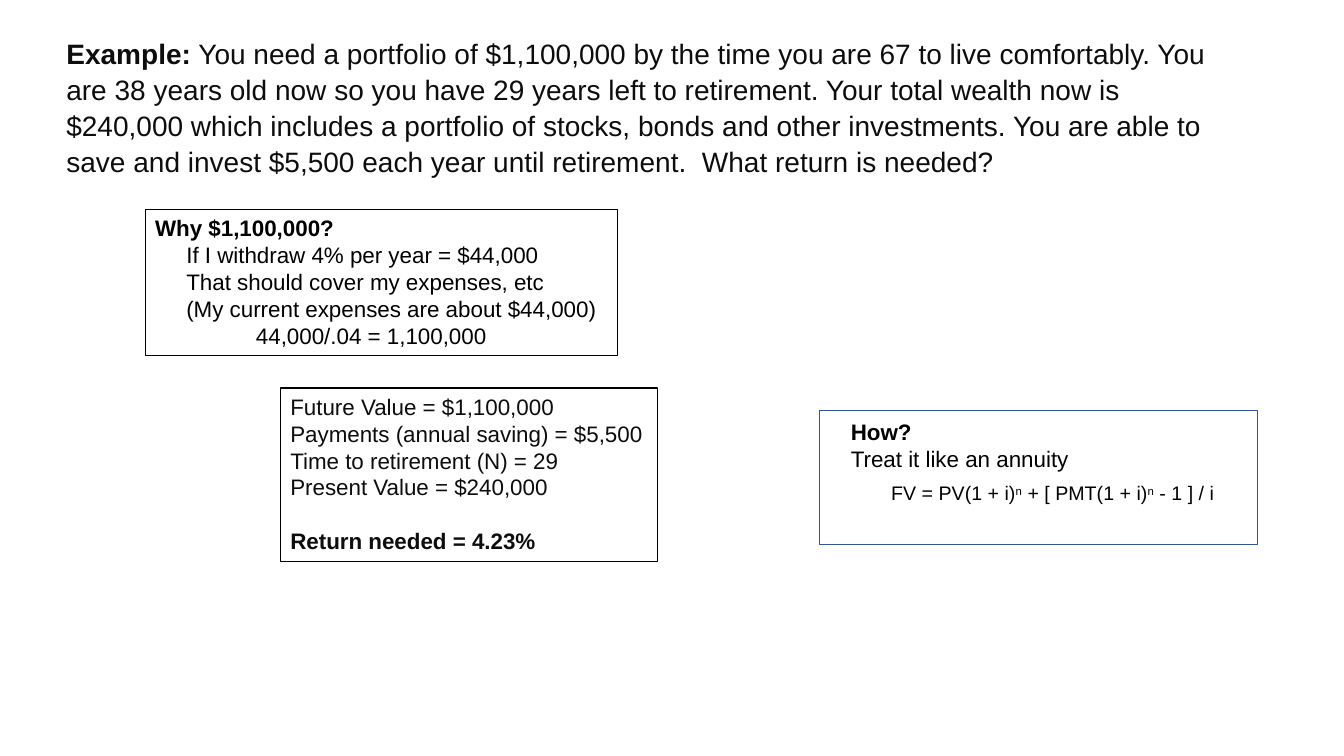
from pptx import Presentation
from pptx.dml.color import RGBColor
from pptx.enum.shapes import MSO_SHAPE
from pptx.enum.text import MSO_ANCHOR, PP_ALIGN
from pptx.util import Inches, Pt

RECT = MSO_SHAPE.RECTANGLE
TOP = MSO_ANCHOR.TOP
LEFT = PP_ALIGN.LEFT
BLACK = RGBColor(0x00, 0x00, 0x00)
INK = RGBColor(0x0D, 0x0D, 0x0D)
BLUE = RGBColor(0x32, 0x54, 0x91)
STEP = 22.3


def para(*runs, indent=0, before=0, after=0, spacing=1.0):
    return {"runs": runs, "indent": indent, "before": before,
            "after": after, "spacing": spacing}


def run(text, bold=False, sup=False):
    return text, bold, sup


class Deck:
    """Style and current slide, with places given in percent of the slide."""

    def __init__(self, font="Arial"):
        self.font = font
        self.prs = Presentation()
        self.prs.slide_width = Inches(13.33)
        self.prs.slide_height = Inches(7.5)
        self.s = self.prs.slides.add_slide(self.prs.slide_layouts[6])

    def place(self, x, y, w, h):
        width, height = self.prs.slide_width, self.prs.slide_height
        return [int(share * side / 100) for share, side in
                ((x, width), (y, height), (w, width), (h, height))]

    def frame(self, *box, line=BLACK, weight=0.75):
        sp = self.s.shapes.add_shape(RECT, *self.place(*box))
        sp.shadow.inherit = False
        sp.fill.background()
        sp.line.color.rgb = line
        sp.line.width = Pt(weight)
        return sp

    def label(self, *box):
        return self.s.shapes.add_textbox(*self.place(*box))

    def fill_text(self, sp, paras, size=16, color=BLACK):
        tf = sp.text_frame
        tf.word_wrap = True
        tf.vertical_anchor = TOP
        for i, item in enumerate(paras):
            p = tf.add_paragraph() if i else tf.paragraphs[0]
            p.alignment = LEFT
            p.line_spacing = item["spacing"]
            p.space_before = Pt(item["before"])
            p.space_after = Pt(item["after"])
            if item["indent"]:
                pPr = p._p.get_or_add_pPr()
                pPr.set("marL", str(int(Pt(item["indent"]))))
                pPr.set("indent", "0")
            for text, bold, sup in item["runs"]:
                r = p.add_run()
                r.text = text
                r.font.name = self.font
                r.font.size = Pt(size)
                r.font.bold = bold
                r.font.color.rgb = color
                if sup:
                    r._r.get_or_add_rPr().set("baseline", "30000")


def main():
    deck = Deck()
    deck.frame(60.99, 54.27, 32.56, 17.73, line=BLUE, weight=1)

    deck.fill_text(deck.label(4.2, 3.87, 89.12, 75.47), [para(
        run("Example:", bold=True),
        run(" You need a portfolio of $1,100,000 by the time you are 67 to "
            "live comfortably. You are 38 years old now so you have 29 years "
            "left to retirement. Your total wealth now is $240,000 which "
            "includes a portfolio of stocks, bonds and other investments. "
            "You are able to save and invest $5,500 each year until "
            "retirement.  What return is needed?"),
        after=18.8, spacing=1.07)], size=20, color=INK)

    reasons = ("If I withdraw 4% per year = $44,000",
               "That should cover my expenses, etc",
               "(My current expenses are about $44,000)")
    deck.fill_text(deck.frame(10.8, 27.73, 35.18, 19.33), [
        para(run("Why $1,100,000?", bold=True)),
        *(para(run(text), indent=STEP) for text in reasons),
        para(run("44,000/.04 = 1,100,000"), indent=72)])

    facts = ("Future Value = $1,100,000",
             "Payments (annual saving) = $5,500",
             "Time to retirement (N) = 29",
             "Present Value = $240,000")
    deck.fill_text(deck.frame(20.86, 51.33, 28.06, 22.93), [
        *(para(run(text)) for text in facts),
        para(run("Return needed = 4.23%", bold=True), before=19.2)],
        color=INK)

    deck.fill_text(deck.label(62.57, 54.67, 29.18, 8.53), [
        para(run("How?", bold=True)),
        para(run("Treat it like an annuity"))])

    deck.fill_text(deck.label(65.57, 62.8, 26.18, 4.53), [para(
        run("FV = PV(1 + i)"), run("n", sup=True),
        run(" + [ PMT(1 + i)"), run("n", sup=True), run(" - 1 ] / i"),
        after=18.8, spacing=1.07)], size=14)

    deck.prs.save("out.pptx")


if __name__ == "__main__":
    main()
